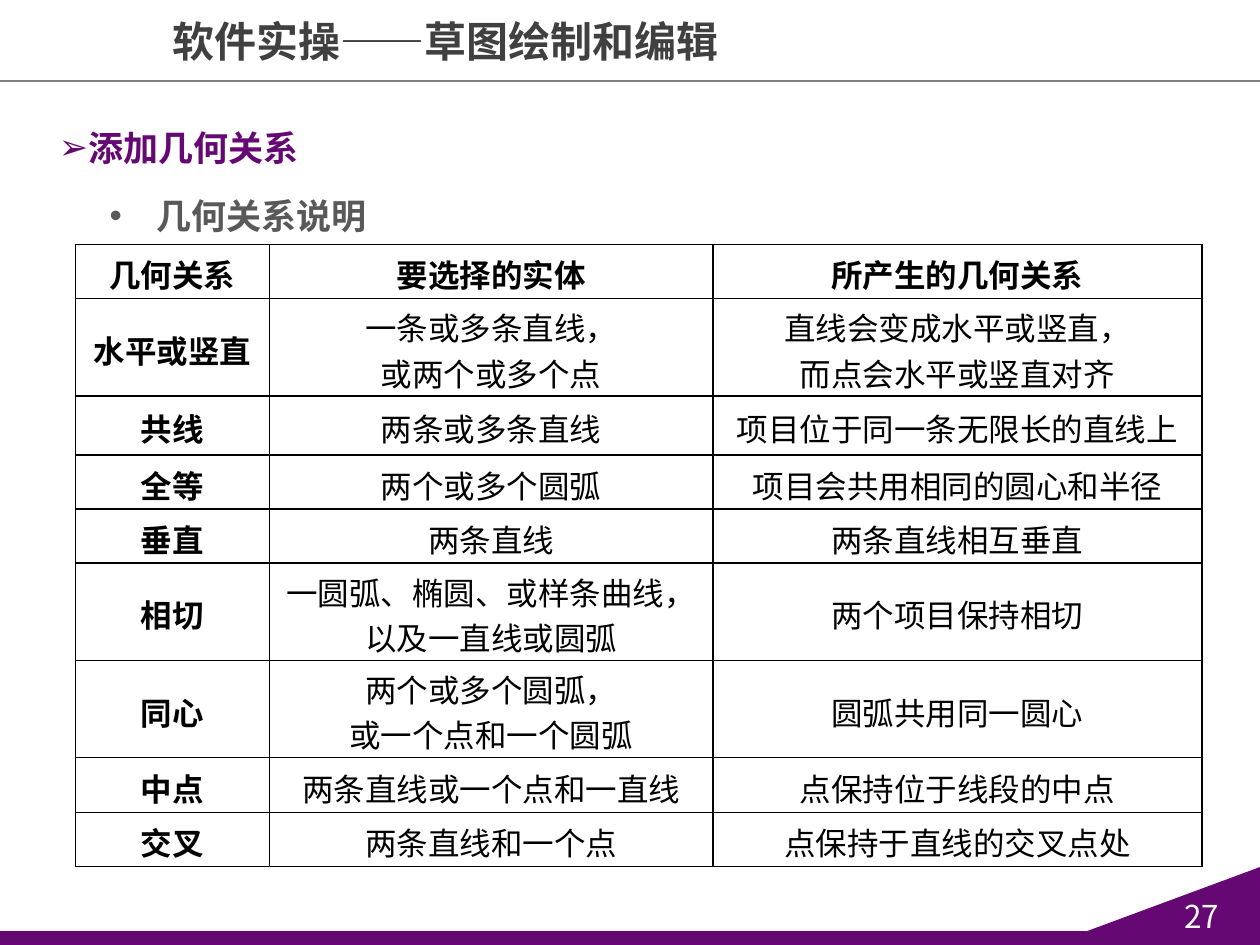
from lxml.etree import SubElement
from pptx import Presentation
from pptx.dml.color import RGBColor
from pptx.enum.shapes import MSO_CONNECTOR, MSO_SHAPE
from pptx.enum.text import MSO_ANCHOR, MSO_AUTO_SIZE, PP_ALIGN
from pptx.oxml import parse_xml
from pptx.oxml.ns import nsdecls, qn
from pptx.util import Cm, Pt

FONT = "Noto Sans CJK SC"
PURPLE = "660874"
COLUMN_WIDTHS = [3.91, 8.94, 9.86]
ROW_HEIGHTS = [1.09, 1.96, 1.19, 1.09, 1.09, 1.96, 1.96, 1.11, 1.09]
# A line break inside a cell text starts a new paragraph
RELATIONS = [
    ("几何关系", "要选择的实体", "所产生的几何关系"),
    ("水平或竖直", "一条或多条直线，\n或两个或多个点", "直线会变成水平或竖直，\n而点会水平或竖直对齐"),
    ("共线", "两条或多条直线", "项目位于同一条无限长的直线上"),
    ("全等", "两个或多个圆弧", "项目会共用相同的圆心和半径"),
    ("垂直", "两条直线", "两条直线相互垂直"),
    ("相切", "一圆弧、椭圆、或样条曲线，以及一直线或圆弧", "两个项目保持相切"),
    ("同心", "两个或多个圆弧，\n或一个点和一个圆弧", "圆弧共用同一圆心"),
    ("中点", "两条直线或一个点和一直线", "点保持位于线段的中点"),
    ("交叉", "两条直线和一个点", "点保持于直线的交叉点处"),
]


def color(hex_code):
    return RGBColor.from_string(hex_code)


def add_run(paragraph, text, size, hex_code, bold=False):
    run = paragraph.add_run()
    run.text = text
    run.font.size = Pt(size)
    run.font.bold = bold
    run.font.name = FONT
    run.font.color.rgb = color(hex_code)
    # East Asian characters take their own typeface
    SubElement(run.font._element, qn("a:ea")).set("typeface", FONT)


def add_bullet(paragraph, mark, margin, indent):
    properties = paragraph._p.get_or_add_pPr()
    properties.set("marL", str(Cm(margin)))
    properties.set("indent", str(Cm(indent)))
    SubElement(properties, qn("a:buFont")).set("typeface", "Arial")
    SubElement(properties, qn("a:buChar")).set("char", mark)


def add_text(slide, box, text, size, hex_code):
    frame = slide.shapes.add_textbox(*map(Cm, box)).text_frame
    frame.word_wrap = True
    frame.auto_size = MSO_AUTO_SIZE.SHAPE_TO_FIT_TEXT
    paragraph = frame.paragraphs[0]
    add_run(paragraph, text, size, hex_code, bold=True)
    return paragraph


def add_block(slide, preset, box):
    block = slide.shapes.add_shape(preset, *map(Cm, box))
    block.shadow.inherit = False
    block.fill.solid()
    block.fill.fore_color.rgb = color(PURPLE)
    block.line.fill.background()
    return block


def add_rule(slide, y, hex_code):
    rule = slide.shapes.add_connector(MSO_CONNECTOR.STRAIGHT, 0, Cm(y), Cm(25.4), Cm(y))
    rule.line.color.rgb = color(hex_code)
    rule.line.width = Pt(1)
    SubElement(rule._element.spPr, qn("a:effectLst"))


def add_borders(cell, hex_code):
    properties = cell._tc.get_or_add_tcPr()
    for index, side in enumerate(("lnL", "lnR", "lnT", "lnB")):
        properties.insert(index, parse_xml(
            f'<a:{side} {nsdecls("a")} w="{Pt(1)}"><a:solidFill>'
            f'<a:srgbClr val="{hex_code}"/></a:solidFill></a:{side}>'))


def fill_cell(cell, text, bold):
    cell.fill.background()
    cell.vertical_anchor = MSO_ANCHOR.MIDDLE
    cell.margin_top, cell.margin_bottom = Cm(0.1), 0
    add_borders(cell, "000000")
    for index, line in enumerate(text.split("\n")):
        frame = cell.text_frame
        paragraph = frame.add_paragraph() if index else frame.paragraphs[0]
        paragraph.alignment = PP_ALIGN.CENTER
        add_run(paragraph, line, 18, "000000", bold)


def add_relation_table(slide):
    table = slide.shapes.add_table(
        len(RELATIONS), len(COLUMN_WIDTHS), Cm(1.52), Cm(4.93),
        Cm(sum(COLUMN_WIDTHS)), Cm(sum(ROW_HEIGHTS))).table
    table.horz_banding = False
    for column, width in zip(table.columns, COLUMN_WIDTHS):
        column.width = Cm(width)
    for r, (height, relation) in enumerate(zip(ROW_HEIGHTS, RELATIONS)):
        table.rows[r].height = Cm(height)
        for c, text in enumerate(relation):
            fill_cell(table.cell(r, c), text, bold=r == 0 or c == 0)


def main():
    deck = Presentation()
    deck.slide_width, deck.slide_height = Cm(25.4), Cm(19.05)
    slide = deck.slides.add_slide(deck.slide_layouts[6])

    # Page corner, header rule and footer band
    corner = add_block(slide, MSO_SHAPE.RIGHT_TRIANGLE, (21.89, 17.48, 3.51, 1.3))
    corner._element.spPr.get_or_add_xfrm().set("flipH", "1")
    corner.text_frame.vertical_anchor = MSO_ANCHOR.MIDDLE
    page_number = corner.text_frame.paragraphs[0]
    page_number.alignment = PP_ALIGN.CENTER
    add_run(page_number, "27", 18, "FFFFFF")
    add_rule(slide, 1.64, "7F7F7F")
    add_block(slide, MSO_SHAPE.RECTANGLE, (0, 18.77, 25.4, 0.28))

    # Title and headings
    add_text(slide, (3.23, 0.18, 21.03, 1.27), "软件实操——草图绘制和编辑", 24, "404040")
    topic = add_text(slide, (0.94, 2.01, 17.27, 1.4), "添加几何关系", 20, PURPLE)
    topic.alignment = PP_ALIGN.JUSTIFY
    topic.line_spacing = 1.5
    add_bullet(topic, "➢", 0, -0.95)
    subtopic = add_text(slide, (1.96, 3.38, 21.49, 1.4), "几何关系说明", 20, "595959")
    subtopic.line_spacing = 1.5
    add_bullet(subtopic, "•", 0.95, -0.95)

    # Table of geometric relations
    add_relation_table(slide)
    deck.save("out.pptx")


if __name__ == "__main__":
    main()
